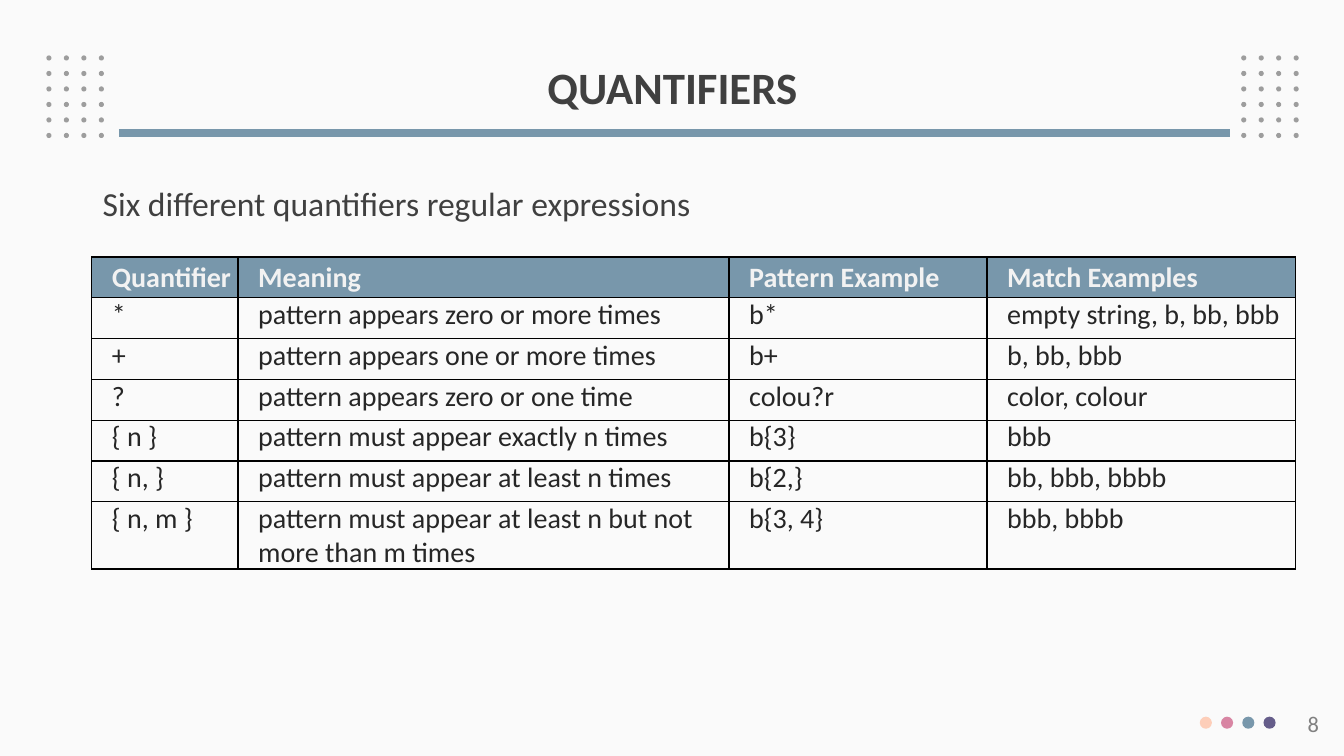
from dataclasses import dataclass
from itertools import product

from lxml.etree import SubElement
from pptx import Presentation
from pptx.dml.color import RGBColor
from pptx.enum.shapes import MSO_CONNECTOR as Connector, MSO_SHAPE as Shape
from pptx.enum.text import MSO_ANCHOR as Anchor, PP_ALIGN as Align
from pptx.oxml.ns import qn
from pptx.slide import Slide
from pptx.table import _Cell as Cell
from pptx.text.text import _Paragraph as Paragraph
from pptx.util import Inches, Length, Pt

SLIDE_WIDTH, SLIDE_HEIGHT = Inches(13.33), Inches(7.5)
FONT = "Calibri"

BACKGROUND = RGBColor(0xFA, 0xFA, 0xFA)
DOT_GRAY = RGBColor(0x9D, 0x9D, 0x9D)
PEACH = RGBColor(0xFD, 0xCE, 0xB9)
PINK = RGBColor(0xD8, 0x85, 0xA3)
BLUE = RGBColor(0x78, 0x97, 0xAB)
PURPLE = RGBColor(0x65, 0x5D, 0x8A)
TITLE_GRAY = RGBColor(0x40, 0x40, 0x40)
NUMBER_GRAY = RGBColor(0x80, 0x80, 0x80)
HEADER_TEXT = RGBColor(0xF2, 0xF2, 0xF2)
CELL_TEXT = RGBColor(0x26, 0x26, 0x26)
BORDER_HEX = "000000"


@dataclass(frozen=True)
class TextStyle:
    size: float
    color: RGBColor
    bold: bool = False
    align: Align = Align.LEFT
    line_spacing: float = 1.0


@dataclass(frozen=True)
class TextBlock:
    """A text box placed in percent of the slide's width and height."""
    text: str
    left: float
    top: float
    width: float
    height: float
    style: TextStyle
    anchor: Anchor = Anchor.TOP


@dataclass(frozen=True)
class DotGrid:
    """Dots in columns and rows; all lengths are percent of the slide."""
    left: float
    top: float
    diameter: float
    column_step: float
    row_step: float
    rows: int
    column_colors: tuple[RGBColor, ...]


HEADER_STYLE = TextStyle(20, HEADER_TEXT, bold=True)
CELL_STYLE = TextStyle(20, CELL_TEXT)

TEXT_BLOCKS = (
    TextBlock("QUANTIFIERS", 6.9, 5.33, 86.27, 13.07,
              TextStyle(32, TITLE_GRAY, True, Align.CENTER, 0.9), Anchor.MIDDLE),
    TextBlock("Six different quantifiers regular expressions", 6.9, 23.07, 86.27, 9,
              TextStyle(24, TITLE_GRAY, line_spacing=1.1)),
    TextBlock("8", 76.37, 93.33, 22.5, 5.33,
              TextStyle(16, NUMBER_GRAY, align=Align.RIGHT)),
)

DOT_GRIDS = (
    DotGrid(3.45, 7.33, 0.38, 1.3, 2.05, 6, (DOT_GRAY,) * 4),
    DotGrid(92.35, 7.33, 0.38, 1.3, 2.05, 6, (DOT_GRAY,) * 4),
    DotGrid(89.27, 94.8, 0.9, 1.58, 0, 1, (PEACH, PINK, BLUE, PURPLE)),
)

TABLE_LEFT, TABLE_TOP, ROW_HEIGHT = 6.83, 34, 5.4
COLUMN_WIDTHS = (10.88, 36.53, 19.2, 22.95)
TABLE_ROWS = (
    ("Quantifier", "Meaning", "Pattern Example", "Match Examples"),
    ("*", "pattern appears zero or more times", "b*", "empty string, b, bb, bbb"),
    ("+", "pattern appears one or more times", "b+", "b, bb, bbb"),
    ("?", "pattern appears zero or one time", "colou?r", "color, colour"),
    ("{ n }", "pattern must appear exactly n times", "b{3}", "bbb"),
    ("{ n, }", "pattern must appear at least n times", "b{2,}", "bb, bbb, bbbb"),
    ("{ n, m }", "pattern must appear at least n but not more than m times",
     "b{3, 4}", "bbb, bbbb"),
)


def across(percent: float) -> Length:
    return Length(round(SLIDE_WIDTH * percent / 100))


def down(percent: float) -> Length:
    return Length(round(SLIDE_HEIGHT * percent / 100))


def write(paragraph: Paragraph, text: str, style: TextStyle) -> None:
    paragraph.alignment = style.align
    paragraph.line_spacing = style.line_spacing
    run = paragraph.add_run()
    run.text = text
    run.font.name = FONT
    run.font.size = Pt(style.size)
    run.font.bold = style.bold
    run.font.color.rgb = style.color


def add_text_block(slide: Slide, block: TextBlock) -> None:
    box = slide.shapes.add_textbox(across(block.left), down(block.top),
                                   across(block.width), down(block.height))
    box.text_frame.word_wrap = True
    box.text_frame.vertical_anchor = block.anchor
    write(box.text_frame.paragraphs[0], block.text, block.style)


def add_dot_grid(slide: Slide, grid: DotGrid) -> None:
    diameter = across(grid.diameter)
    for row, (column, color) in product(range(grid.rows), enumerate(grid.column_colors)):
        dot = slide.shapes.add_shape(
            Shape.OVAL, across(grid.left + column * grid.column_step),
            down(grid.top + row * grid.row_step), diameter, diameter)
        dot.shadow.inherit = False
        dot.fill.solid()
        dot.fill.fore_color.rgb = color
        dot.line.fill.background()


def add_title_rule(slide: Slide) -> None:
    rule = slide.shapes.add_connector(Connector.STRAIGHT, across(8.85), down(17.6),
                                      across(91.52), down(17.6))
    rule.line.color.rgb = BLUE
    rule.line.width = Pt(5.25)
    SubElement(rule._element.spPr, qn("a:effectLst"))


def add_borders(cell: Cell) -> None:
    properties = cell._tc.get_or_add_tcPr()
    for position, side in enumerate(("lnL", "lnR", "lnT", "lnB")):
        border = SubElement(properties, qn(f"a:{side}"), w=str(Pt(1)))
        fill = SubElement(border, qn("a:solidFill"))
        SubElement(fill, qn("a:srgbClr"), val=BORDER_HEX)
        properties.insert(position, border)


def fill_cell(cell: Cell, text: str, is_header: bool) -> None:
    cell.margin_left = cell.margin_right = cell.margin_top = cell.margin_bottom = 0
    paragraph = cell.text_frame.paragraphs[0]
    paragraph._p.get_or_add_pPr().set("marL", str(Inches(0.2)))
    if is_header:
        cell.vertical_anchor = Anchor.MIDDLE
        cell.fill.solid()
        cell.fill.fore_color.rgb = BLUE
    else:
        cell.fill.background()
        paragraph.space_after = Pt(10)
    write(paragraph, text, HEADER_STYLE if is_header else CELL_STYLE)
    add_borders(cell)


def add_quantifier_table(slide: Slide) -> None:
    table = slide.shapes.add_table(
        len(TABLE_ROWS), len(COLUMN_WIDTHS), across(TABLE_LEFT), down(TABLE_TOP),
        across(sum(COLUMN_WIDTHS)), down(ROW_HEIGHT * len(TABLE_ROWS))).table
    table.horz_banding = False
    for column, width in zip(table.columns, COLUMN_WIDTHS):
        column.width = across(width)
    for row_index, texts in enumerate(TABLE_ROWS):
        table.rows[row_index].height = down(ROW_HEIGHT)
        for column_index, text in enumerate(texts):
            fill_cell(table.cell(row_index, column_index), text, row_index == 0)


def main() -> None:
    presentation = Presentation()
    presentation.slide_width, presentation.slide_height = SLIDE_WIDTH, SLIDE_HEIGHT
    slide = presentation.slides.add_slide(presentation.slide_layouts[6])
    slide.background.fill.solid()
    slide.background.fill.fore_color.rgb = BACKGROUND
    for grid in DOT_GRIDS:
        add_dot_grid(slide, grid)
    add_title_rule(slide)
    for block in TEXT_BLOCKS:
        add_text_block(slide, block)
    add_quantifier_table(slide)
    presentation.save("out.pptx")


if __name__ == "__main__":
    main()
